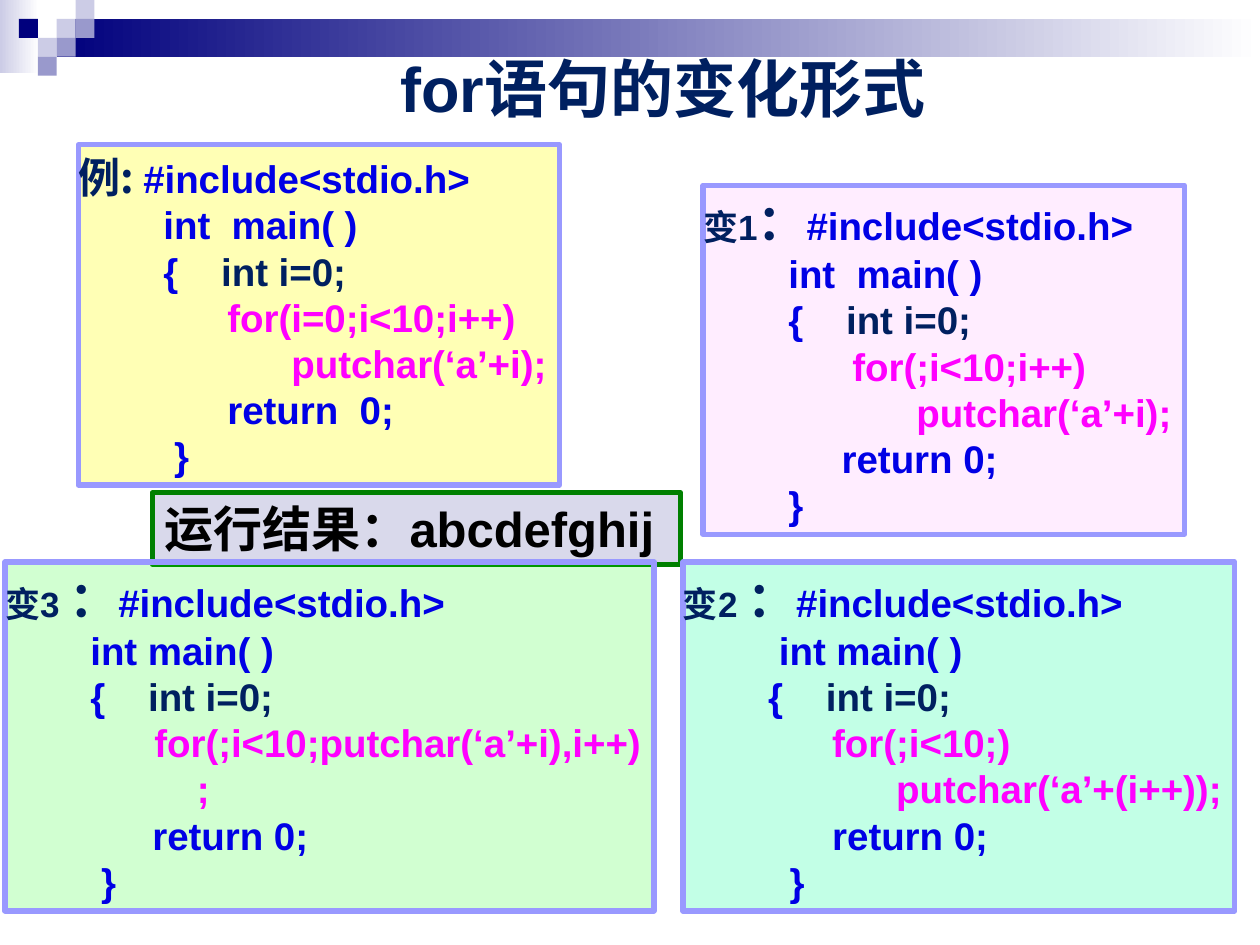
from dataclasses import dataclass

import pptx
import pptx.dml.color
import pptx.enum.shapes
import pptx.enum.text
import pptx.oxml
import pptx.oxml.ns
import pptx.util


@dataclass(frozen=True)
class Theme:
    """Colours, fonts and type sizes of the slide."""

    navy: str = "002060"
    code: str = "0000E5"
    loop: str = "FF00FF"
    black: str = "000000"
    frame: str = "9999FF"
    green: str = "008000"
    deep: str = "00007D"
    pale: str = "CCCCE6"
    mid: str = "9999CC"
    white: str = "FFFFFF"
    latin: str = "Arial"
    chinese: str = "Noto Sans CJK SC"
    title_size: int = 36
    large_size: int = 28
    example_size: int = 24
    code_size: int = 22
    label_size: int = 20


THEME = Theme()
WIDTH, HEIGHT = 10, 7.5
CELL = 0.15


@dataclass(frozen=True)
class Span:
    """A stretch of text in one format."""

    text: str
    color: str = THEME.code
    size: int = THEME.code_size
    font: str = THEME.latin


@dataclass(frozen=True)
class Area:
    """A rectangle given as shares of the slide's size."""

    left: float
    top: float
    width: float
    height: float


@dataclass(frozen=True)
class Panel:
    """A framed box with a translucent fill and lines of spans."""

    area: Area
    fill: str
    opacity: int
    lines: list[list[Span]]
    frame: str = THEME.frame
    left_inset: float = 0
    right_inset: float = 0.1


@dataclass(frozen=True)
class Tile:
    """A square of the corner ornament by grid column and row."""

    column: int
    row: int
    color: str


def inches(left: float, top: float, width: float, height: float) -> Area:
    """Turn a rectangle in inches into shares of the slide."""
    return Area(left / WIDTH, top / HEIGHT, width / WIDTH, height / HEIGHT)


def place(area: Area) -> list[int]:
    """Return the position and size of an area in slide units."""
    across, down = pptx.util.Inches(WIDTH), pptx.util.Inches(HEIGHT)
    return [round(area.left * across), round(area.top * down),
            round(area.width * across), round(area.height * down)]


def rgb(color: str) -> pptx.dml.color.RGBColor:
    """Return a colour object for a hex string."""
    return pptx.dml.color.RGBColor.from_string(color)


def add_tabs(para) -> None:
    """Set a left tab stop at every inch."""
    properties = para._p.get_or_add_pPr()
    stops = properties.makeelement(pptx.oxml.ns.qn("a:tabLst"), {})
    for inch in range(8):
        position = str(int(pptx.util.Inches(inch)))
        stops.append(stops.makeelement(pptx.oxml.ns.qn("a:tab"), {"pos": position, "algn": "l"}))
    properties.append(stops)


def write(para, spans: list[Span]) -> None:
    """Add formatted spans to a paragraph."""
    for span in spans:
        run = para.add_run()
        run.text = span.text
        run.font.name = span.font
        run.font.size = pptx.util.Pt(span.size)
        run.font.bold = True
        run.font.color.rgb = rgb(span.color)
        east = pptx.oxml.ns.qn("a:ea")
        run.font._element.find(pptx.oxml.ns.qn("a:latin")).addnext(
            run.font._element.makeelement(east, {"typeface": THEME.chinese}))


def add_box(page, area: Area, color: str):
    """Add a plain rectangle without line or shadow."""
    box = page.shapes.add_shape(pptx.enum.shapes.MSO_SHAPE.RECTANGLE, *place(area))
    box.shadow.inherit = False
    box.line.fill.background()
    box.fill.solid()
    box.fill.fore_color.rgb = rgb(color)
    return box


def add_fade(page, area: Area, color: str) -> None:
    """Add a rectangle that fades to white from left to right."""
    box = add_box(page, area, color)
    box.fill.gradient()
    box.fill.gradient_angle = 0
    for stop, shade, position in zip(box.fill.gradient_stops, (color, THEME.white), (0, 1)):
        stop.color.rgb = rgb(shade)
        stop.position = position


def add_tile(page, tile: Tile) -> None:
    """Add one square of the corner ornament."""
    add_box(page, inches(tile.column * CELL, tile.row * CELL, CELL, CELL), tile.color)


def add_panel(page, panel: Panel) -> None:
    """Add a framed panel and its text."""
    box = add_box(page, panel.area, panel.fill)
    color = box._element.spPr.find(".//" + pptx.oxml.ns.qn("a:srgbClr"))
    color.append(color.makeelement(pptx.oxml.ns.qn("a:alpha"), {"val": str(panel.opacity * 1000)}))
    box.line.color.rgb = rgb(panel.frame)
    box.line.width = pptx.util.Pt(3)
    frame = box.text_frame
    frame.word_wrap = False
    frame.auto_size = pptx.enum.text.MSO_AUTO_SIZE.SHAPE_TO_FIT_TEXT
    frame.vertical_anchor = pptx.enum.text.MSO_ANCHOR.TOP
    frame.margin_left = pptx.util.Inches(panel.left_inset)
    frame.margin_right = pptx.util.Inches(panel.right_inset)
    for index, spans in enumerate(panel.lines):
        para = frame.add_paragraph() if index else frame.paragraphs[0]
        para.alignment = pptx.enum.text.PP_ALIGN.LEFT
        add_tabs(para)
        write(para, spans)


def listing(label: list[Span], main: str, loop: list[str], ending: list[str]) -> list[list[Span]]:
    """Return the lines of one version of the program."""
    return [
        [*label, Span("#include<stdio.h>")],
        [Span(main)],
        [Span("        {    "), Span("int i=0;", THEME.navy)],
        *[[Span(line, THEME.loop)] for line in loop],
        *[[Span(line)] for line in ending],
    ]


def variant(label: str) -> list[Span]:
    """Return the heading spans of a numbered variant."""
    return [Span("变", THEME.navy, THEME.label_size, THEME.chinese),
            Span(label, THEME.navy, THEME.label_size),
            Span("：", THEME.navy, THEME.large_size)]


TILES = [Tile(3, 1, THEME.pale), Tile(4, 0, THEME.pale), Tile(4, 1, THEME.mid),
         Tile(2, 2, THEME.pale), Tile(1, 1, THEME.deep), Tile(3, 2, THEME.mid),
         Tile(2, 3, THEME.mid)]

PANELS = [
    Panel(inches(0.62, 1.15, 3.82, 2.7), "FFFF00", 29, listing(
        [Span("例: ", THEME.navy, THEME.example_size, THEME.chinese)], "        int  main( )",
        ["              for(i=0;i<10;i++)", "                    putchar(‘a’+i);"],
        ["              return  0;", "         }"])),
    Panel(inches(1.21, 3.91, 4.19, 0.57), THEME.deep, 15, [[
        Span("运行结果：", THEME.black, THEME.large_size, THEME.chinese),
        Span("abcdefghij", THEME.black, THEME.large_size)]], THEME.green, 0.1, 0),
    Panel(inches(5.58, 1.47, 3.82, 2.77), "FF00FF", 7, listing(
        variant("1"), "        int  main( )",
        ["              for(;i<10;i++)", "                    putchar(‘a’+i);"],
        ["             return 0;", "        }"])),
    Panel(inches(5.42, 4.46, 4.38, 2.77), "00FF99", 24, listing(
        variant("2 "), "         int main( )",
        ["              for(;i<10;)", "                    putchar(‘a’+(i++));"],
        ["              return 0;", "          }"])),
    Panel(inches(0.04, 4.46, 5.15, 2.77), "00FF00", 18, listing(
        variant("3 "), "        int main( )",
        ["              for(;i<10;putchar(‘a’+i),i++)", "                  ;"],
        [" \t  return 0;", "         }"])),
]


def main() -> None:
    """Build the slide and save the deck."""
    deck = pptx.Presentation()
    deck.slide_width, deck.slide_height = pptx.util.Inches(WIDTH), pptx.util.Inches(HEIGHT)
    page = deck.slides.add_slide(deck.slide_layouts[5])
    title = page.shapes.title
    title.left, title.top, title.width, title.height = place(inches(2.95, 0.28, 4.62, 0.83))
    title.text_frame.vertical_anchor = pptx.enum.text.MSO_ANCHOR.MIDDLE
    heading = title.text_frame.paragraphs[0]
    heading.alignment = pptx.enum.text.PP_ALIGN.CENTER
    write(heading, [Span("for", THEME.navy, THEME.title_size),
                    Span("语句的变化形式", THEME.navy, THEME.title_size, THEME.chinese)])
    add_fade(page, inches(0, 0, 0.31, 0.58), THEME.pale)
    add_fade(page, inches(0.45, 0.15, 9.55, 0.3), THEME.deep)
    for tile in TILES:
        add_tile(page, tile)
    for panel in PANELS:
        add_panel(page, panel)
    deck.save("out.pptx")


if __name__ == "__main__":
    main()
